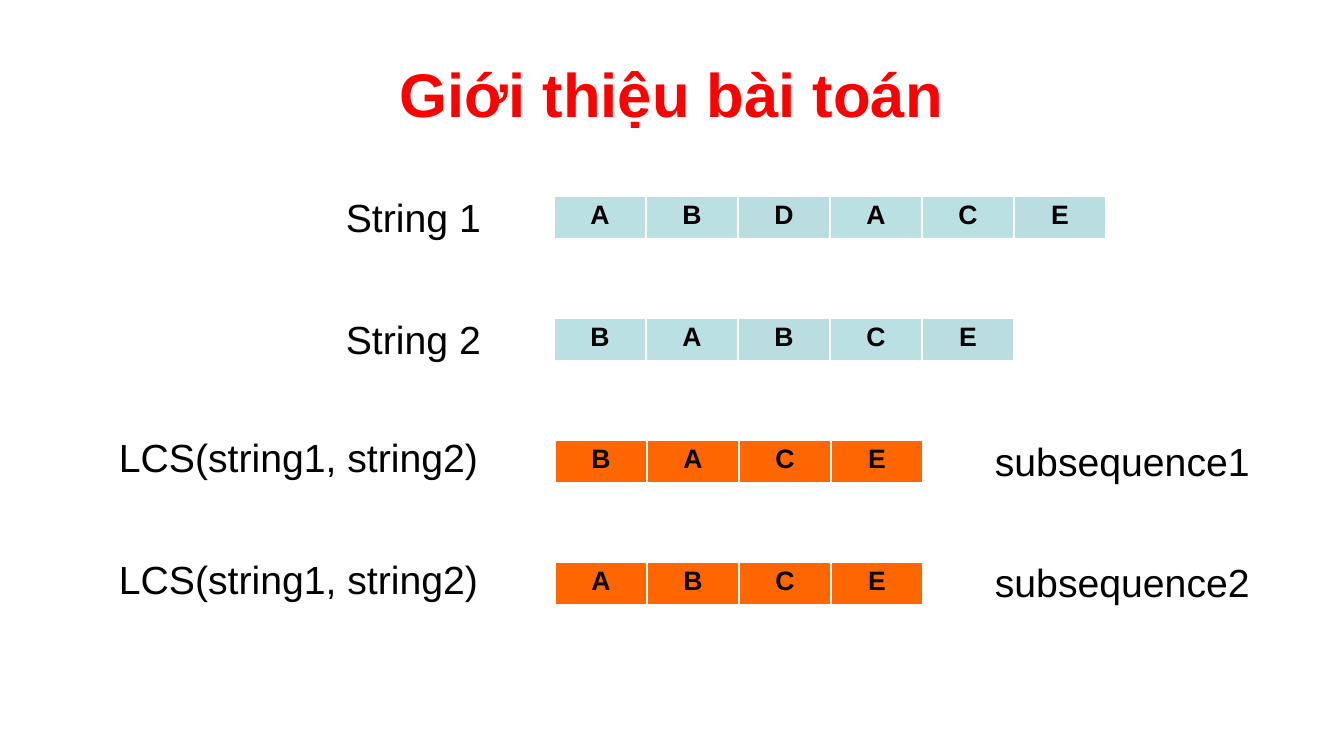
from lxml.etree import SubElement
from pptx import Presentation
from pptx.dml.color import RGBColor
from pptx.enum.text import MSO_ANCHOR as Anchor, PP_ALIGN as Align
from pptx.oxml.ns import qn
from pptx.util import Pt

SCALE = 914400 / 100.8
FONT = "Arial"
BLACK, RED, WHITE = "000000", "FF0000", "FFFFFF"
BLUE, DARK_BLUE, ORANGE = "BBE0E3", "BADDE1", "FF6600"

TITLE = "Giới thiệu bài toán"
SEQUENCES = [
    ("ABDACE", 554, BLUE, DARK_BLUE),
    ("BABCE", 554, BLUE, DARK_BLUE),
    ("BACE", 555, ORANGE, ORANGE),
    ("ABCE", 555, ORANGE, ORANGE),
]
LABELS = [
    ("String 1", 336, 188, 157),
    ("String 2", 336, 310, 157),
    ("LCS(string1, string2)", 109, 428, 395),
    ("LCS(string1, string2)", 109, 550, 395),
    ("subsequence1", 985, 432, 278),
    ("subsequence2", 985, 553, 278),
]
BORDERS = [("a:lnL", 1), ("a:lnR", 1), ("a:lnT", 1), ("a:lnB", 3)]
TABLE_TOP, TABLE_STEP = 196, 122
CELL_WIDTH, CELL_HEIGHT = 92, 44
LABEL_HEIGHT = 57


def px(length):
    return round(length * SCALE)


def color(value):
    return RGBColor.from_string(value)


def write(frame, text, size=28, fill=BLACK, bold=False, align=Align.LEFT):
    para = frame.paragraphs[0]
    para.alignment = align
    span = para.add_run()
    span.text = text
    span.font.name = FONT
    span.font.size = Pt(size)
    span.font.bold = bold
    span.font.color.rgb = color(fill)


def add_text(page, text, left, top, width, height, wrap=False, anchor=Anchor.TOP, **style):
    box = page.shapes.add_textbox(px(left), px(top), px(width), px(height))
    box.text_frame.word_wrap = wrap
    box.text_frame.vertical_anchor = anchor
    write(box.text_frame, text, **style)


def add_borders(cell):
    properties = cell._tc.get_or_add_tcPr()
    for tag, width in BORDERS:
        line = SubElement(properties, qn(tag), w=str(Pt(width)))
        fill = SubElement(line, qn("a:solidFill"))
        SubElement(fill, qn("a:srgbClr"), val=WHITE)


def add_sequence(page, letters, left, top, fill, accent):
    count = len(letters)
    frame = page.shapes.add_table(
        1, count, px(left), px(top), px(CELL_WIDTH * count), px(CELL_HEIGHT)
    )
    for index, letter in enumerate(letters):
        frame.table.columns[index].width = px(CELL_WIDTH)
        cell = frame.table.cell(0, index)
        cell.margin_left = cell.margin_right = px(11)
        cell.margin_top = cell.margin_bottom = px(5)
        add_borders(cell)
        cell.fill.solid()
        cell.fill.fore_color.rgb = color(accent if index in (2, count - 1) else fill)
        write(cell.text_frame, letter, size=19, bold=True, align=Align.CENTER)


def main():
    deck = Presentation()
    deck.slide_width, deck.slide_height = px(1344), px(756)
    page = deck.slides.add_slide(deck.slide_layouts[6])
    add_text(page, TITLE, 67, 30, 1210, 126, wrap=True, anchor=Anchor.MIDDLE,
             size=44, fill=RED, bold=True, align=Align.CENTER)
    for row, (letters, left, fill, accent) in enumerate(SEQUENCES):
        add_sequence(page, letters, left, TABLE_TOP + row * TABLE_STEP, fill, accent)
    for text, left, top, width in LABELS:
        add_text(page, text, left, top, width, LABEL_HEIGHT)
    deck.save("out.pptx")


if __name__ == "__main__":
    main()
